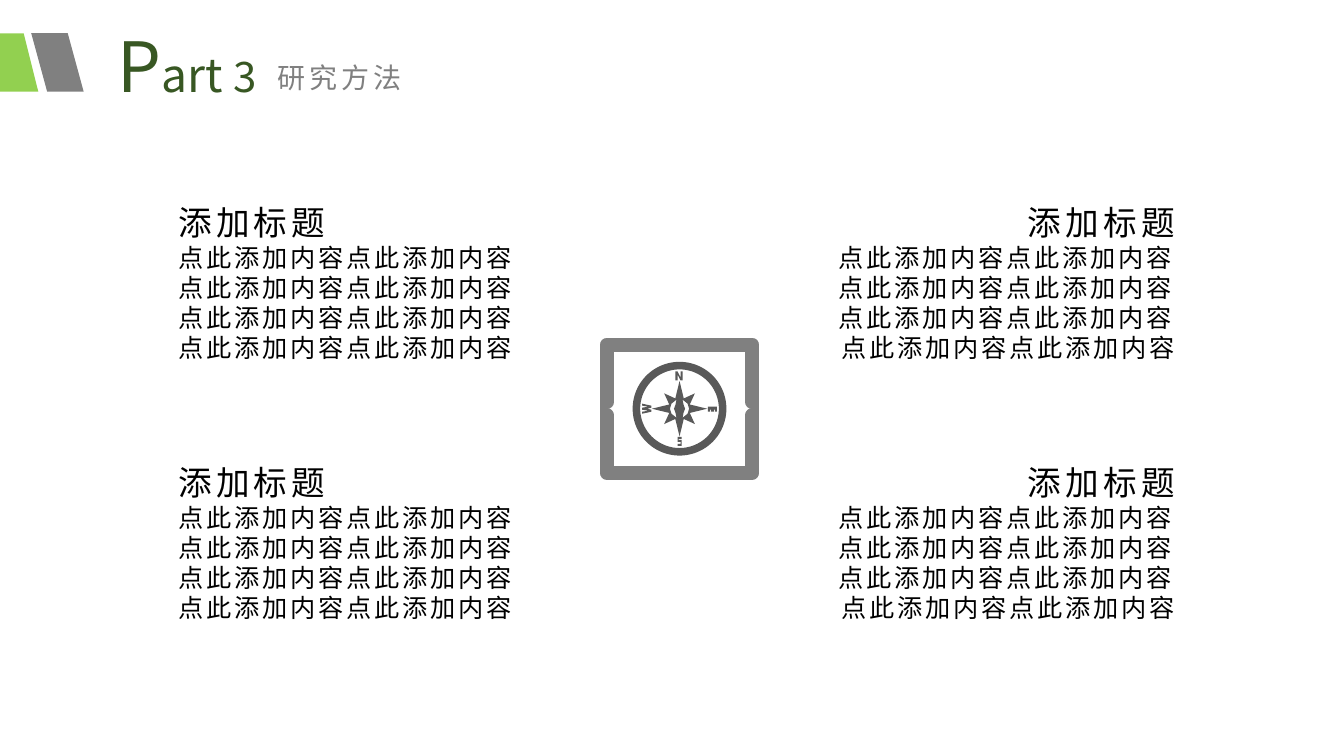
"""Build the research methods slide with four text blocks around a compass."""
from math import cos, pi, sin

from pptx import Presentation
from pptx.dml.color import RGBColor
from pptx.enum.shapes import MSO_CONNECTOR, MSO_SHAPE
from pptx.enum.text import MSO_ANCHOR, PP_ALIGN
from pptx.oxml.ns import qn
from pptx.util import Inches, Pt
from lxml.etree import SubElement

BLACK = RGBColor(0x00, 0x00, 0x00)
GRAY = RGBColor(0x80, 0x80, 0x80)
DARK_GRAY = RGBColor(0x59, 0x59, 0x59)
DARK_GREEN = RGBColor(0x38, 0x57, 0x23)
LIME = RGBColor(0x92, 0xD0, 0x50)
FONT = "Noto Sans CJK SC"


def add_run(paragraph, text, size, color, spacing=0):
    """Add a run with its font, size, colour and letter spacing."""
    run = paragraph.add_run()
    run.text = text
    for name, value in {"name": FONT, "size": Pt(size), "bold": False}.items():
        setattr(run.font, name, value)
    run.font.color.rgb = color
    properties = run.font._element
    properties.set("spc", str(spacing * 100))
    SubElement(properties, qn("a:ea")).set("typeface", FONT)


def circle(radius):
    """Return the points of a circle around the compass centre."""
    return [(radius * cos(step * pi / 60), radius * sin(step * pi / 60)) for step in range(120)]


presentation = Presentation()
presentation.slide_width = Inches(13.33)
presentation.slide_height = Inches(7.5)
slide = presentation.slides.add_slide(presentation.slide_layouts[5])

title = slide.shapes.title
subtitle = slide.shapes.add_textbox(Inches(2.65), Inches(0.55), Inches(1.95), Inches(0.44))
title_place = {"left": 1.07, "top": 0.18, "width": 3.17, "height": 0.93}
for name, value in title_place.items():
    setattr(title, name, Inches(value))
for shape in (title, subtitle):
    frame_format = {"word_wrap": True, "vertical_anchor": MSO_ANCHOR.TOP}
    for name, value in frame_format.items():
        setattr(shape.text_frame, name, value)
    shape.text_frame.paragraphs[0].alignment = PP_ALIGN.LEFT
for text, size in (("P", 49.5), ("art ", 33), ("3", 30)):
    add_run(title.text_frame.paragraphs[0], text, size, DARK_GREEN)
add_run(subtitle.text_frame.paragraphs[0], "研究方法", 20, GRAY, 3)

for kind, left, width, adjustment, color in (
    (MSO_SHAPE.TRAPEZOID, -0.38, 0.76, 0.25, LIME),
    (MSO_SHAPE.PARALLELOGRAM, 0.31, 0.52, 0.304, GRAY),
):
    shape = slide.shapes.add_shape(kind, Inches(left), Inches(0.33), Inches(width), Inches(0.58))
    shape.adjustments[0] = adjustment
    shape.shadow.inherit = False
    shape.fill.solid()
    shape.fill.fore_color.rgb = color
    shape.line.fill.background()
shape._element.spPr.find(qn("a:xfrm")).set("flipV", "1")

for top in (1.95, 4.53):
    for left, width, alignment in ((1.67, 3.7, PP_ALIGN.LEFT), (8.05, 3.7, PP_ALIGN.RIGHT)):
        box = slide.shapes.add_textbox(Inches(left), Inches(top), Inches(width), Inches(1.72))
        frame = box.text_frame
        frame.word_wrap = True
        heading, body = frame.paragraphs[0], frame.add_paragraph()
        heading.alignment = body.alignment = alignment
        add_run(heading, "添加标题", 24, BLACK, 3)
        add_run(body, "点此添加内容" * 8, 18, BLACK, 2)

center_x, center_y = 6.74, 4.055
for across in (1, -1):
    for down in (-1, 1):
        connector = slide.shapes.add_connector(
            MSO_CONNECTOR.ELBOW,
            Inches(center_x), Inches(center_y + down * 0.635),
            Inches(center_x + across * 0.79), Inches(center_y + down * 0.065),
        )
        connector.line.color.rgb = GRAY
        connector.line.width = Pt(10)
        properties = connector._element.spPr
        SubElement(properties, qn("a:effectLst"))
        guides = properties.find(qn("a:prstGeom")).get_or_add_avLst()
        guide = SubElement(guides, qn("a:gd"))
        guide.set("name", "adj1")
        guide.set("fmla", "val 91400")

star = []
for step in range(16):
    radius = 11 if step % 2 else (21.5 if step % 4 else 27.5)
    star.append((radius * sin(step * pi / 8), -radius * cos(step * pi / 8)))
hub_gap = [(9.5, 0), (8, -5), (3, -9), (4, -4), (5.5, 0), (4, 4), (3, 9), (8, 5)]
letter_n = [(-4, -37), (-2, -37), (1, -31), (1, -37), (3, -37),
            (3, -28), (1, -28), (-2, -34), (-2, -28), (-4, -28)]
letter_s = [(2, 28), (-2, 28), (-2, 33), (1, 33), (1, 35), (-2, 35),
            (-2, 37), (2, 37), (2, 31), (-1, 31), (-1, 30), (2, 30)]
letter_e = [(28, -2), (37, -2), (37, 3), (35, 3), (35, 1), (34, 1),
            (34, 3), (31, 3), (31, 1), (30, 1), (30, 3), (28, 3)]
letter_w = [(-37, -5), (-28, -3), (-28, -1), (-32, 0), (-28, 1), (-28, 3), (-37, 5),
            (-37, 3), (-31, 2), (-37, 1), (-37, -1), (-31, -2), (-37, -3)]
contours = [circle(46.5), circle(39), star, hub_gap, [(-x, y) for x, y in hub_gap],
            letter_n, letter_s, letter_e, letter_w]

fine = 100
builder = slide.shapes.build_freeform(46.5 * fine, 0, scale=Inches(0.01) / fine)
for contour in contours:
    points = [(x * fine, y * fine) for x, y in contour]
    if contour is not contours[0]:
        builder.move_to(*points[0])
    builder.add_line_segments(points[1:], close=True)
compass = builder.convert_to_shape(Inches(center_x), Inches(center_y))
compass.shadow.inherit = False
compass.fill.solid()
compass.fill.fore_color.rgb = DARK_GRAY
compass.line.fill.background()

presentation.save("out.pptx")
